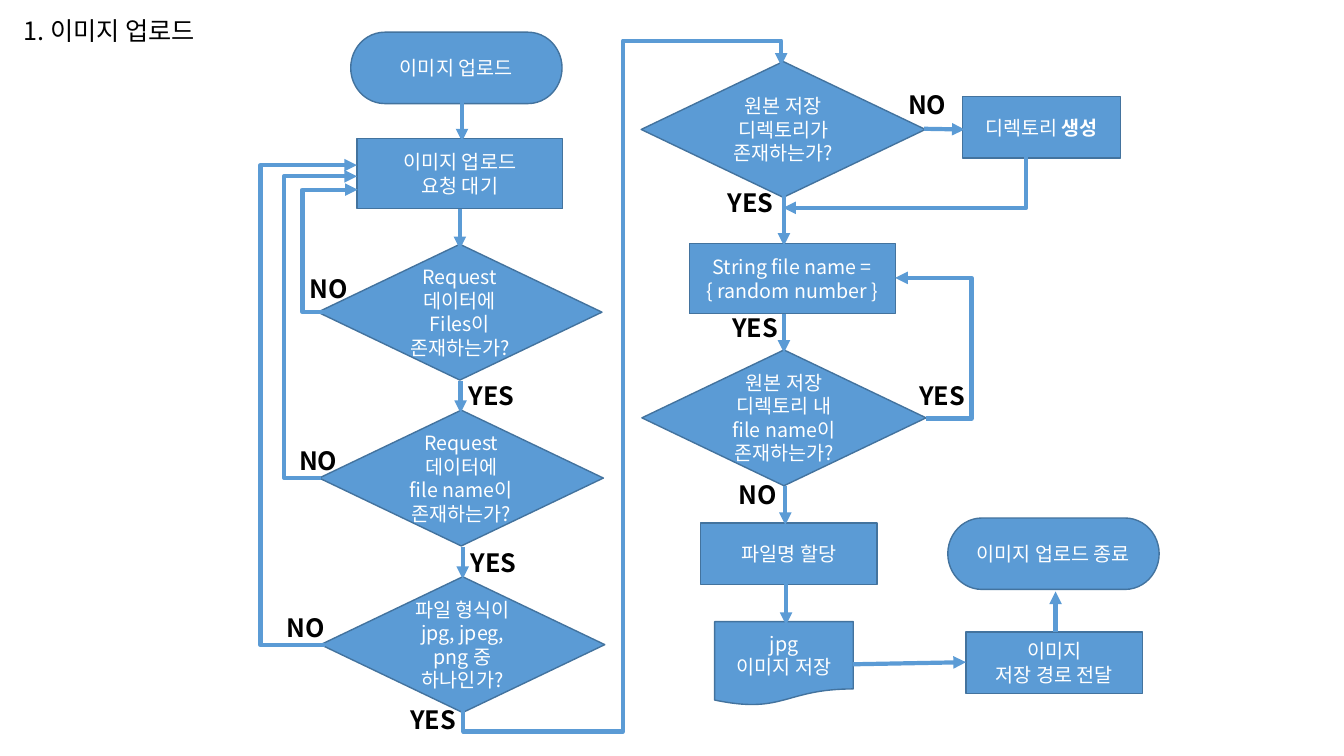
from pptx import Presentation
from pptx.dml.color import RGBColor
from pptx.enum.shapes import MSO_CONNECTOR as LINK, MSO_SHAPE as SHAPE
from pptx.enum.text import MSO_ANCHOR as ANCHOR, PP_ALIGN as ALIGN
from pptx.oxml.ns import qn
from pptx.util import Pt
from lxml.etree import SubElement

FONT = "Noto Sans CJK KR"
BLUE, EDGE, WHITE, BLACK = "5B9BD5", "43739E", "FFFFFF", "000000"
TITLE = "1. 이미지 업로드"

# kind: preset shape, width, height
KINDS = {
    "end": (SHAPE.FLOWCHART_TERMINATOR, 151, 51),
    "test": (SHAPE.FLOWCHART_DECISION, 203, 97),
    "wide": (SHAPE.FLOWCHART_PROCESS, 147, 50),
    "step": (SHAPE.FLOWCHART_PROCESS, 126, 44),
    "small": (SHAPE.FLOWCHART_PROCESS, 113, 44),
    "file": (SHAPE.FLOWCHART_DOCUMENT, 99, 60),
}
# kind, left, top, lines (text after * is bold)
NODES = [
    ("end", 250.5, 23, ["이미지 업로드"]),
    ("wide", 255, 99, ["이미지 업로드", "요청 대기"]),
    ("test", 227, 174.5, ["Request", "데이터에", "Files이 존재하는가?"]),
    ("test", 228, 293, ["Request", "데이터에", "file name이 존재하는가?"]),
    ("test", 229, 412, ["파일 형식이 jpg, jpeg, png 중", "하나인가?"]),
    ("test", 458, 44, ["원본 저장", "디렉토리가 존재하는가?"]),
    ("small", 687.5, 69, ["디렉토리 *생성"]),
    ("wide", 492.5, 174, ["String file name =", "{ random number }"]),
    ("test", 458.5, 250, ["원본 저장", "디렉토리 내", "file name이 존재하는가?"]),
    ("step", 500.5, 373.5, ["파일명 할당"]),
    ("file", 510.5, 444, ["jpg", "이미지 저장"]),
    ("step", 690, 451.5, ["이미지", "저장 경로 전달"]),
    ("end", 677, 370, ["이미지 업로드 종료"]),
]
# start x, y, end x, y
ARROWS = [
    (330, 72, 330, 101), (328.5, 149, 328.5, 178),
    (329, 272, 329, 295), (330.5, 391, 330.5, 413.5),
    (560, 139, 560, 175.5), (560, 224, 560, 252),
    (561, 347, 561, 375), (561.5, 417.5, 561.5, 446.5),
    (660, 92, 689, 92.5), (609, 474.5, 690, 473), (754, 451.5, 754, 422.5),
]
# start x, y, end x, y, x of the upright part
LOOPS = [
    (232, 223, 255.5, 135.5, 216),
    (229.5, 341.5, 255, 126, 203),
    (232, 461, 255, 118, 186),
    (661.5, 299, 639.5, 198.5, 694),
]
REJOIN = (559.5, 148.5, 733, 112.5)
# start x, y, end x, y, then low y, middle x, high y
BRIDGE = (331, 506, 558, 47, 522.5, 445, 29)
# text, left, top
LABELS = [
    ("NO", 214, 192), ("NO", 206.5, 314.5), ("NO", 197.5, 434),
    ("YES", 327.5, 268), ("YES", 329, 387.5), ("YES", 286, 499.5),
    ("NO", 641.5, 60.5), ("YES", 512.5, 130.5), ("YES", 516, 219.5),
    ("YES", 649.5, 268), ("NO", 520.5, 339),
]


def color(code):
    return RGBColor.from_string(code)


def write(shape, lines, size=18, tint=BLACK, bold=False,
          align=ALIGN.LEFT, anchor=ANCHOR.TOP):
    frame = shape.text_frame
    frame.word_wrap = True
    frame.vertical_anchor = anchor
    for i, line in enumerate(lines):
        para = frame.add_paragraph() if i else frame.paragraphs[0]
        para.alignment = align
        for j, part in enumerate(line.split("*")):
            run = para.add_run()
            run.text = part
            font = run.font
            font.name, font.size = FONT, Pt(size)
            font.bold = bold or j > 0
            font.color.rgb = color(tint)
            SubElement(font._element, qn("a:ea"), typeface=FONT)


def draw_node(kind, x, y, lines):
    preset, w, h = KINDS[kind]
    node = slide.shapes.add_shape(preset, Pt(x), Pt(y), Pt(w), Pt(h))
    node.shadow.inherit = False
    node.fill.solid()
    node.fill.fore_color.rgb = color(BLUE)
    node.line.color.rgb = color(EDGE)
    node.line.width = Pt(1)
    write(node, lines, size=14, tint=WHITE, align=ALIGN.CENTER,
          anchor=ANCHOR.MIDDLE)


def link(x1, y1, x2, y2, kind=LINK.STRAIGHT, preset=None, bends=(),
         tip="tailEnd"):
    """Draw an arrow; bends are shares of the way from start to end."""
    line = slide.shapes.add_connector(kind, Pt(x1), Pt(y1), Pt(x2), Pt(y2))
    line.line.color.rgb = color(BLUE)
    line.line.width = Pt(3)
    props = line._element.spPr
    SubElement(props.find(qn("a:ln")), qn("a:" + tip), type="triangle")
    SubElement(props, qn("a:effectLst"))
    if preset:
        geom = props.find(qn("a:prstGeom"))
        geom.set("prst", preset)
        guides = geom.find(qn("a:avLst"))
        if guides is None:
            guides = SubElement(geom, qn("a:avLst"))
        for i, bend in enumerate(bends, 1):
            SubElement(guides, qn("a:gd"), name=f"adj{i}",
                       fmla=f"val {round(bend * 100000)}")
    return line


def draw_bridge(x1, y1, x2, y2, low, mid, high):
    """Draw the five-part arrow that leaves downward, as a quarter turn."""
    cx, cy = (x1 + x2) / 2, (y1 + y2) / 2
    dx, dy = (x2 - x1) / 2, (y1 - y2) / 2
    bends = [(low - y1) / (y2 - y1), (mid - x1) / (x2 - x1),
             (high - y1) / (y2 - y1)]
    line = link(cx + dy, cy + dx, cx - dy, cy - dx, LINK.ELBOW,
                "bentConnector5", bends)
    line._element.spPr.find(qn("a:xfrm")).set("rot", "5400000")


deck = Presentation()
deck.slide_width, deck.slide_height = Pt(960), Pt(540)
slide = deck.slides.add_slide(deck.slide_layouts[5])

title = slide.shapes.title
title.left, title.top, title.width, title.height = Pt(9.5), Pt(7), Pt(196), Pt(29)
write(title, [TITLE])

for node in NODES:
    draw_node(*node)
for arrow in ARROWS:
    link(*arrow)
for x1, y1, x2, y2, turn in LOOPS:
    link(x1, y1, x2, y2, LINK.ELBOW, "bentConnector3",
         [(turn - x1) / (x2 - x1)])
link(*REJOIN, LINK.ELBOW, "bentConnector2", tip="headEnd")
draw_bridge(*BRIDGE)
for word, x, y in LABELS:
    label = slide.shapes.add_textbox(Pt(x), Pt(y), Pt(63), Pt(29))
    write(label, [word], bold=True)

deck.save("out.pptx")
